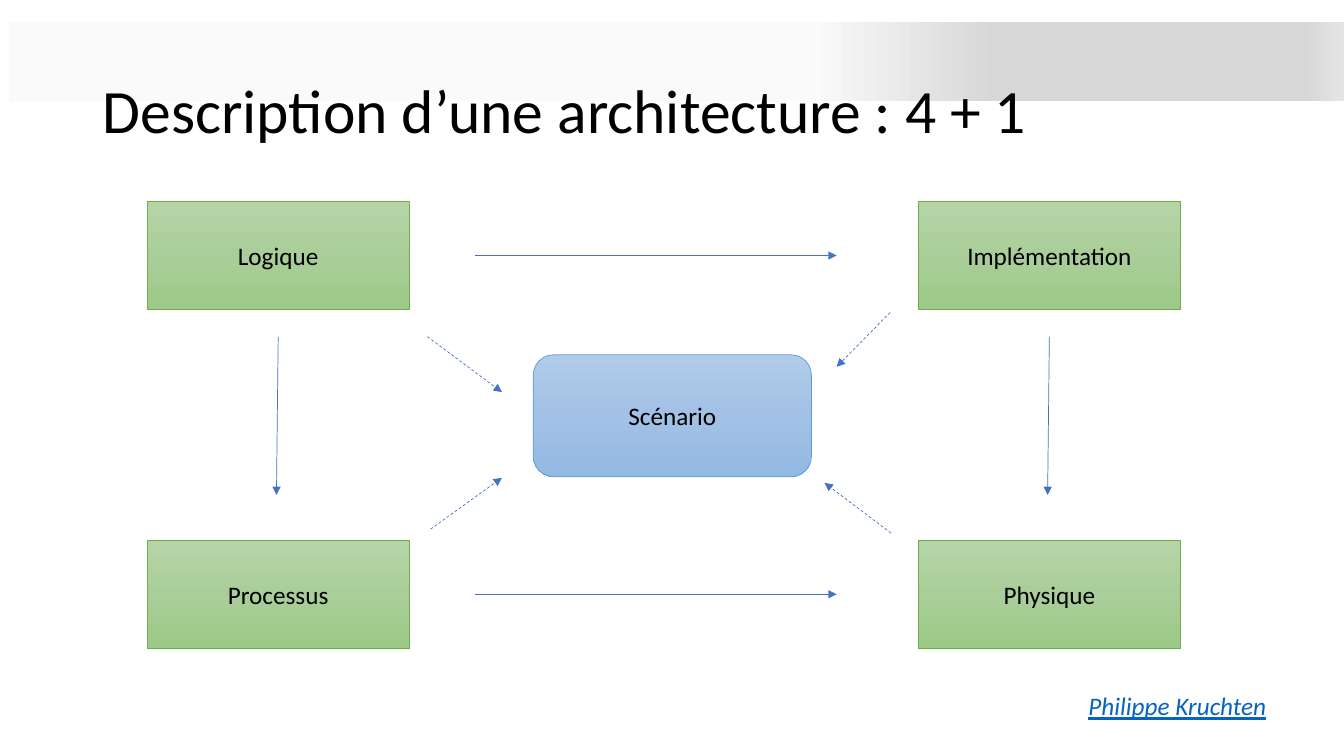
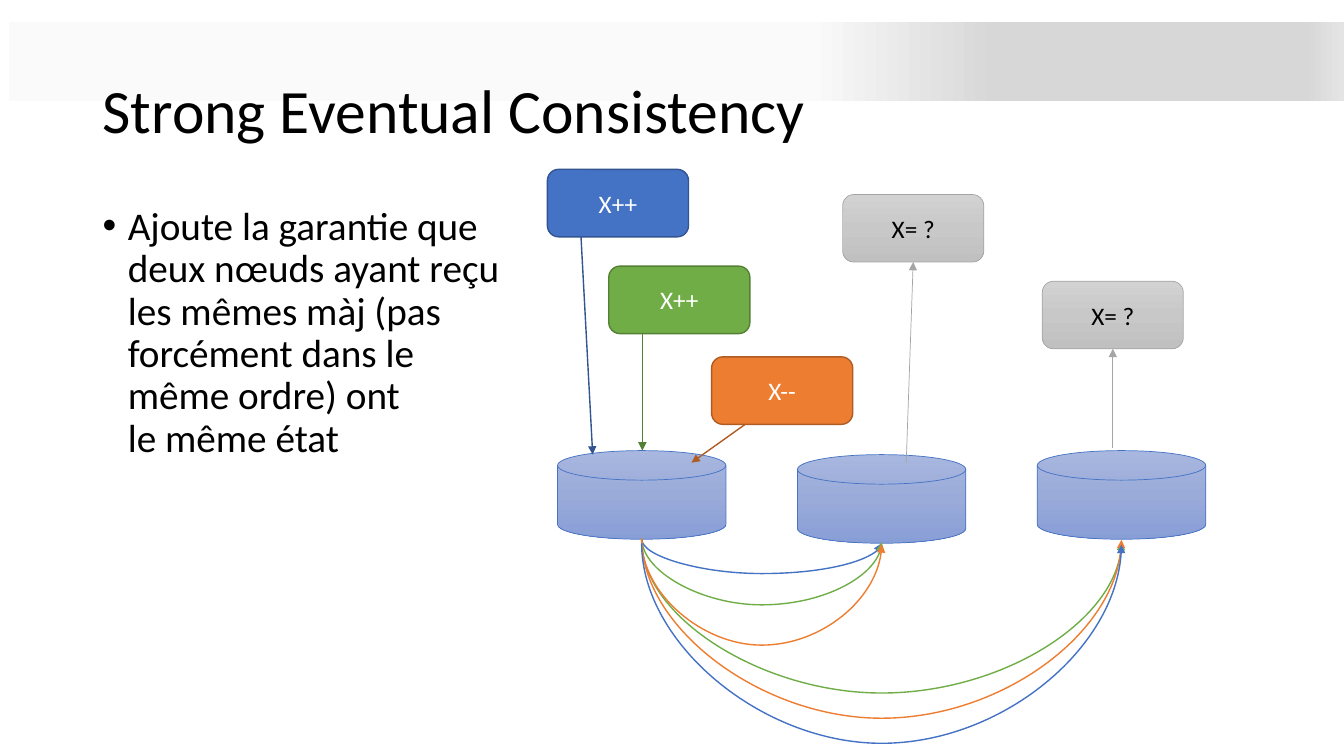
from dataclasses import dataclass
from itertools import product

from lxml.etree import SubElement
from pptx import Presentation
from pptx.dml.color import RGBColor
from pptx.enum.dml import MSO_LINE
from pptx.enum.shapes import MSO_CONNECTOR, MSO_SHAPE
from pptx.enum.text import MSO_ANCHOR, PP_ALIGN
from pptx.oxml.ns import qn
from pptx.util import Inches, Pt


@dataclass(frozen=True)
class Theme:
    width: int = Inches(13.333)
    height: int = Inches(7.5)
    font: str = "Calibri"
    title_size: int = 44
    body_size: int = 28
    label_size: int = 18
    thin: float = 0.5
    normal: float = 1
    black: str = "000000"
    white: str = "FFFFFF"
    link: str = "0563C1"
    blue: str = "4472C4"
    green: str = "70AD47"
    orange: str = "ED7D31"
    grey: str = "A5A5A5"
    sky: str = "5B9BD5"
    dark_blue: str = "325491"
    dark_green: str = "538035"
    dark_orange: str = "AF5C24"
    band: tuple = ((60, "FAFAFA"), (74, "D7D7D7"), (97, "D7D7D7"), (100, "E4E4E4"))
    sky_fade: tuple = ((0, "B1CBE9"), (50, "A3C1E5"), (100, "93B9E4"))
    green_fade: tuple = ((0, "B5D5A7"), (50, "AACE9A"), (100, "9CC987"))
    blue_fade: tuple = ((0, "A8B7DF"), (50, "9AABD9"), (100, "889ED7"))
    grey_fade: tuple = ((0, "D2D2D2"), (50, "C8C8C8"), (100, "C0C0C0"))


T = Theme()


def across(percent):
    return round(T.width * percent / 100)


def down(percent):
    return round(T.height * percent / 100)


def place(x, y, w, h):
    return across(x), down(y), across(w), down(h)


def apply(target, formats):
    for name, value in formats.items():
        setattr(target, name, value)


def write(p, text, size, color, **formats):
    p.text = text
    for r in p.runs:
        apply(r.font, {"name": T.font, "size": Pt(size), **formats})
        r.font.color.rgb = RGBColor.from_string(color)


def paint(sp, fill, angle):
    if isinstance(fill, str):
        sp.fill.solid()
        sp.fill.fore_color.rgb = RGBColor.from_string(fill)
        return
    sp.fill.gradient()
    grad = sp.element.spPr.find(qn("a:gradFill"))
    stops = grad.find(qn("a:gsLst"))
    for stop in list(stops):
        stops.remove(stop)
    for position, color in fill:
        stop = SubElement(stops, qn("a:gs"), pos=str(position * 1000))
        SubElement(stop, qn("a:srgbClr"), val=color)
    grad.find(qn("a:lin")).set("ang", str(angle * 60000))


def add_box(s, kind, box, fill, line=None, weight=T.thin, text="", color=T.black, angle=90):
    sp = s.shapes.add_shape(kind, *place(*box))
    sp.shadow.inherit = False
    paint(sp, fill, angle)
    if line:
        sp.line.color.rgb = RGBColor.from_string(line)
        sp.line.width = Pt(weight)
    else:
        sp.line.fill.background()
    if text:
        tf = sp.text_frame
        tf.vertical_anchor = MSO_ANCHOR.MIDDLE
        p = tf.paragraphs[0]
        p.alignment = PP_ALIGN.CENTER
        write(p, text, T.label_size, color)
    return sp


def add_text(s, box, text, size, color=T.black, wrap=True, anchor=MSO_ANCHOR.TOP,
             spacing=None, **formats):
    tf = s.shapes.add_textbox(*place(*box)).text_frame
    apply(tf, {"word_wrap": wrap, "vertical_anchor": anchor})
    p = tf.paragraphs[0]
    p.line_spacing = spacing
    write(p, text, size, color, **formats)
    return p


def add_bullet(s, box, lines):
    p = add_text(s, box, "\v".join(lines), T.body_size, spacing=0.9)
    pr = p._p.get_or_add_pPr()
    pr.set("marL", str(Inches(0.25)))
    pr.set("indent", str(-Inches(0.25)))
    SubElement(pr, qn("a:buFont"), typeface="Arial")
    SubElement(pr, qn("a:buChar"), char="•")


def add_arrow(s, start, end, color, weight=T.thin, dash=None, kind=MSO_CONNECTOR.STRAIGHT):
    (x1, y1), (x2, y2) = start, end
    cx = s.shapes.add_connector(kind, across(x1), down(y1), across(x2), down(y2))
    apply(cx.line, {"width": Pt(weight), "dash_style": dash})
    cx.line.color.rgb = RGBColor.from_string(color)
    pr = cx.element.spPr
    SubElement(pr.find(qn("a:ln")), qn("a:tailEnd"), type="triangle")
    SubElement(pr, qn("a:effectLst"))
    return cx


def add_sagging_arrow(s, start, end, bottom, color):
    cx = add_arrow(s, start, end, color, T.normal, kind=MSO_CONNECTOR.CURVE)
    w, h = cx.width, cx.height
    apply(cx, {"left": cx.left + (w - h) // 2, "top": cx.top + (h - w) // 2,
               "width": h, "height": w})
    pr = cx.element.spPr
    frame = pr.find(qn("a:xfrm"))
    frame.set("rot", str(270 * 60000))
    frame.set("flipH", "1")
    geometry = pr.find(qn("a:prstGeom"))
    guides = geometry.find(qn("a:avLst"))
    if guides is None:
        guides = SubElement(geometry, qn("a:avLst"))
    ratio = (bottom - start[1]) / (end[1] - start[1])
    SubElement(guides, qn("a:gd"), name="adj1", fmla=f"val {round(ratio * 100000)}")


def add_slide(prs, title):
    s = prs.slides.add_slide(prs.slide_layouts[6])
    add_box(s, MSO_SHAPE.RECTANGLE, (0.68, 2.93, 99.32, 10.4), T.band, angle=0)
    add_text(s, (6.9, 5.33, 86.25, 19.33), title, T.title_size,
             anchor=MSO_ANCHOR.MIDDLE, spacing=0.9)
    return s


def build_views(prs):
    s = add_slide(prs, "Description d’une architecture : 4 + 1")
    add_box(s, MSO_SHAPE.ROUNDED_RECTANGLE, (39.68, 46.93, 20.7, 16.13),
            T.sky_fade, T.sky, text="Scénario")
    columns, rows, w, h = (10.95, 68.33), (26.67, 71.47), 19.5, 14.27
    names = ("Logique", "Processus", "Implémentation", "Physique")
    for (x, y), name in zip(product(columns, rows), names):
        add_box(s, MSO_SHAPE.RECTANGLE, (x, y, w, h), T.green_fade, T.green, text=name)
    for y in rows:
        middle = y + h / 2
        add_arrow(s, (35.33, middle), (62.25, middle), T.blue)
    for x in columns:
        middle = x + w / 2
        add_arrow(s, (middle, 44.53), (middle - 0.13, 65.47), T.blue)
    to_scenario = (
        ((31.8, 44.53), (37.35, 51.87)),
        ((32.03, 70), (37.35, 63.2)),
        ((66.3, 70.53), (61.35, 63.87)),
        ((66.23, 41.33), (62.25, 48.53)),
    )
    for start, end in to_scenario:
        add_arrow(s, start, end, T.blue, dash=MSO_LINE.DASH)
    add_text(s, (80.25, 90.67, 15.15, 5.33), "Philippe Kruchten", T.label_size,
             T.link, wrap=False, italic=True, underline=True)


def build_consistency(prs):
    s = add_slide(prs, "Strong Eventual Consistency")
    add_bullet(s, (6.9, 26.67, 86.25, 63.47), (
        "Ajoute la garantie que", "deux nœuds ayant reçu", "les mêmes màj (pas",
        "forcément dans le", "même ordre) ont", "le même état"))

    disk_w, disk_h = 12.53, 11.73
    disks = [41.48 + 17.85 * i for i in range(3)]
    for x, y in zip(disks, (59.6, 60.13, 59.6)):
        add_box(s, MSO_SHAPE.FLOWCHART_MAGNETIC_DISK, (x, y, disk_w, disk_h),
                T.blue_fade, T.blue)

    w, h = 10.5, 8.93
    updates = (
        (40.73, 22.4, "X++", T.blue, T.dark_blue, (44.1, 60.13)),
        (45.3, 35.2, "X++", T.green, T.dark_green, (47.8, 59.6)),
        (52.95, 47.2, "X--", T.orange, T.dark_orange, (51.45, 61.2)),
    )
    for x, y, text, fill, line, end in updates:
        add_box(s, MSO_SHAPE.ROUNDED_RECTANGLE, (x, y, w, h), fill, line,
                T.normal, text, T.white)
        add_arrow(s, (x + 2.5, y + h), end, line, T.normal)

    reads = ((62.7, 25.73, (67.43, 61.2)), (77.55, 37.2, (82.8, 59.2)))
    for x, y, start in reads:
        sp = add_box(s, MSO_SHAPE.ROUNDED_RECTANGLE, (x, y, w, h),
                     T.grey_fade, T.grey, text="X= ?")
        cx = add_arrow(s, start, (x + w / 2, y + h), T.grey)
        cx.end_connect(sp, 2)

    first, second, third = (x + disk_w / 2 for x in disks)
    replications = (
        (second, T.blue, 71.33, 75.87),
        (second, T.green, 71.2, 80),
        (third, T.green, 71.47, 91.73),
        (second, T.orange, 71.47, 85.33),
        (third, T.orange, 71.2, 95.07),
        (third, T.blue, 71.87, 98.4),
    )
    drops = {second: 0.53, third: 0.2}
    for x, color, y, bottom in replications:
        add_sagging_arrow(s, (first, y), (x, y + drops[x]), bottom, color)


def main():
    prs = Presentation()
    apply(prs, {"slide_width": T.width, "slide_height": T.height})
    build_views(prs)
    build_consistency(prs)
    prs.save("out.pptx")


if __name__ == "__main__":
    main()
